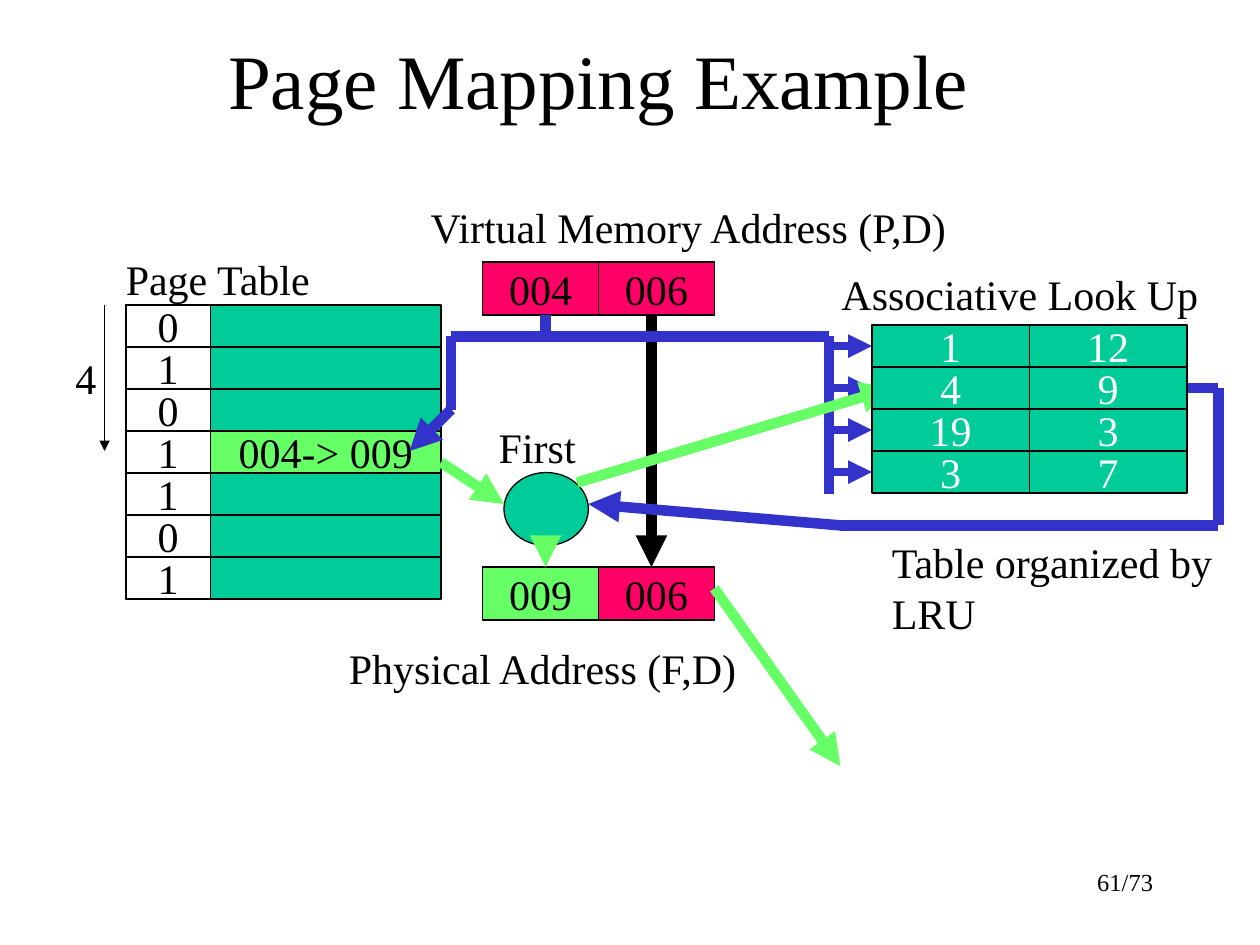
from lxml import etree
from pptx import Presentation
from pptx import util as u
from pptx.dml.color import RGBColor
from pptx.enum import shapes, text
from pptx.oxml import ns

BLACK = RGBColor(0, 0, 0)
WHITE = RGBColor(255, 255, 255)
TEAL = RGBColor(0x00, 0xCC, 0x99)
GREEN = RGBColor(0x66, 0xFF, 0x66)
PINK = RGBColor(0xFF, 0x00, 0x66)
BLUE = RGBColor(0x33, 0x33, 0xCC)
FONT = "Times New Roman"
ROW = 1 / 3

TITLE = "Page Mapping Example"
LABELS = [
    ("Page Table", 0.9, 1.96, 1.69),
    ("Virtual Memory Address (P,D)", 3.32, 1.55, 4.36),
    ("Physical Address (F,D)", 2.67, 5.05, 3.32),
    ("4", 0.5, 2.75, 0.36),
    ("Associative Look Up", 6.58, 2.08, 3.03),
    ("First", 3.86, 3.3, 0.81),
    ("Table organized by\nLRU", 6.98, 4.21, 2.77),
]
ADDRESSES = [
    (2.08, [("004", PINK), ("006", PINK)]),
    (4.5, [("009", GREEN), ("006", PINK)]),
]
VALID_BITS = ["0", "1", "0", "1", "1", "0", "1"]
MAPPED_ROW, MAPPING = 3, "004-> 009"
PAGE_LEFT, PAGE_TOP, PAGE_WIDTH, BIT_WIDTH = 1, 2.42, 2.5, 0.67
LOOKUP = [("1", "12"), ("4", "9"), ("19", "3"), ("3", "7")]
HIT_ROW = 1
LOOKUP_LEFT, LOOKUP_TOP, LOOKUP_WIDTH = 6.92, 2.58, 1.25
BUS_X = 6.58

OFFSET_PATHS = [
    ([(5.17, 2.5), (5.17, 4.5)], BLACK, 6, True),
    ([(0.83, 2.42), (0.83, 3.58)], BLACK, 0.75, True),
]
PAGE_PATHS = [
    ([(BUS_X, 2.67), (3.58, 2.67), (3.58, 3.25), (3.25, 3.58)], BLUE, 6, True),
    ([(4.33, 2.5), (4.33, 2.67)], BLUE, 6, False),
    ([(BUS_X, 2.67), (BUS_X, 3.92)], BLUE, 6, False),
    ([(9.25, 3.08), (9.67, 3.08), (9.67, 4.17), (6.67, 4.17), (4.67, 4)], BLUE, 6, True),
]
PROBE_PATHS = [
    ([(BUS_X, LOOKUP_TOP + (row + 0.5) * ROW), (LOOKUP_LEFT, LOOKUP_TOP + (row + 0.5) * ROW)],
     BLUE, 4.5, True)
    for row in range(len(LOOKUP))
]
FRAME_PATHS = [
    ([(4.58, 3.83), (7.08, 3.08)], GREEN, 6, True),
    ([(4.33, 4.33), (4.33, 4.5)], GREEN, 6, True),
    ([(3.5, 3.67), (4, 4)], GREEN, 6, True),
    ([(5.67, 4.67), (6.67, 6.08)], GREEN, 6, True),
]

deck = Presentation()
deck.slide_width, deck.slide_height = u.Inches(10), u.Inches(7.5)
slide = deck.slides.add_slide(deck.slide_layouts[5])


def write(frame, words, size, color, align):
    frame.text = words
    for paragraph in frame.paragraphs:
        paragraph.alignment = align
        for run in paragraph.runs:
            run.font.size = u.Pt(size)
            run.font.name = FONT
            run.font.color.rgb = color


def add_box(words, left, top, width, height, fill, color=BLACK, indent=0,
            kind=shapes.MSO_SHAPE.RECTANGLE):
    box = slide.shapes.add_shape(kind, *map(u.Inches, (left, top, width, height)))
    box.shadow.inherit = False
    box.fill.solid()
    box.fill.fore_color.rgb = fill
    box.line.color.rgb = BLACK
    box.line.width = u.Pt(0.75)
    if words:
        frame = box.text_frame
        frame.word_wrap = False
        frame.vertical_anchor = text.MSO_ANCHOR.MIDDLE
        frame.margin_left = u.Inches(0.1 + indent)
        write(frame, words, 24, color, text.PP_ALIGN.CENTER)


def add_label(words, left, top, width, height=0.5, size=24,
              align=text.PP_ALIGN.LEFT, wrap=False):
    label = slide.shapes.add_textbox(*map(u.Inches, (left, top, width, height)))
    frame = label.text_frame
    frame.word_wrap = wrap
    if not wrap:
        frame.auto_size = text.MSO_AUTO_SIZE.SHAPE_TO_FIT_TEXT
    write(frame, words, size, BLACK, align)


def add_paths(paths):
    for points, color, width, arrow in paths:
        for start, end in zip(points, points[1:]):
            segment = slide.shapes.add_connector(
                shapes.MSO_CONNECTOR.STRAIGHT, *map(u.Inches, start + end))
            segment.line.color.rgb = color
            segment.line.width = u.Pt(width)
            if arrow and end == points[-1]:
                etree.SubElement(segment.line._get_or_add_ln(),
                                 ns.qn("a:tailEnd"), type="triangle")
            etree.SubElement(segment._element.spPr, ns.qn("a:effectLst"))


def add_lookup_row(row):
    for column, value in enumerate(LOOKUP[row]):
        add_box(value, LOOKUP_LEFT + column * LOOKUP_WIDTH, LOOKUP_TOP + row * ROW,
                LOOKUP_WIDTH, ROW, TEAL, WHITE)


title = slide.shapes.title
title.left, title.top, title.width, title.height = map(u.Inches, (0.5, 0, 8.5, 1.25))
title.text_frame.vertical_anchor = text.MSO_ANCHOR.MIDDLE
write(title.text_frame, TITLE, 44, BLACK, text.PP_ALIGN.CENTER)
add_label("61/73", 7.17, 6.83, 2.08, size=14, align=text.PP_ALIGN.RIGHT, wrap=True)

for top, parts in ADDRESSES:
    for column, (value, fill) in enumerate(parts):
        add_box(value, 3.83 + column * 0.92, top, 0.92, 0.42, fill)

for row, bit in enumerate(VALID_BITS):
    mapped = row == MAPPED_ROW
    top = PAGE_TOP + row * ROW
    add_box(MAPPING if mapped else "", PAGE_LEFT, top, PAGE_WIDTH, ROW,
            GREEN if mapped else TEAL, indent=BIT_WIDTH)
    add_box(bit, PAGE_LEFT, top, BIT_WIDTH, ROW, WHITE)

for row in range(len(LOOKUP)):
    if row != HIT_ROW:
        add_lookup_row(row)

add_paths(OFFSET_PATHS + PAGE_PATHS + PROBE_PATHS)
add_box("", 4, 3.75, 0.67, 0.58, TEAL, kind=shapes.MSO_SHAPE.OVAL)
for words, left, top, width in LABELS:
    add_label(words, left, top, width, 0.5 + 0.4 * words.count("\n"))
add_paths(FRAME_PATHS)
add_lookup_row(HIT_ROW)

deck.save("out.pptx")
